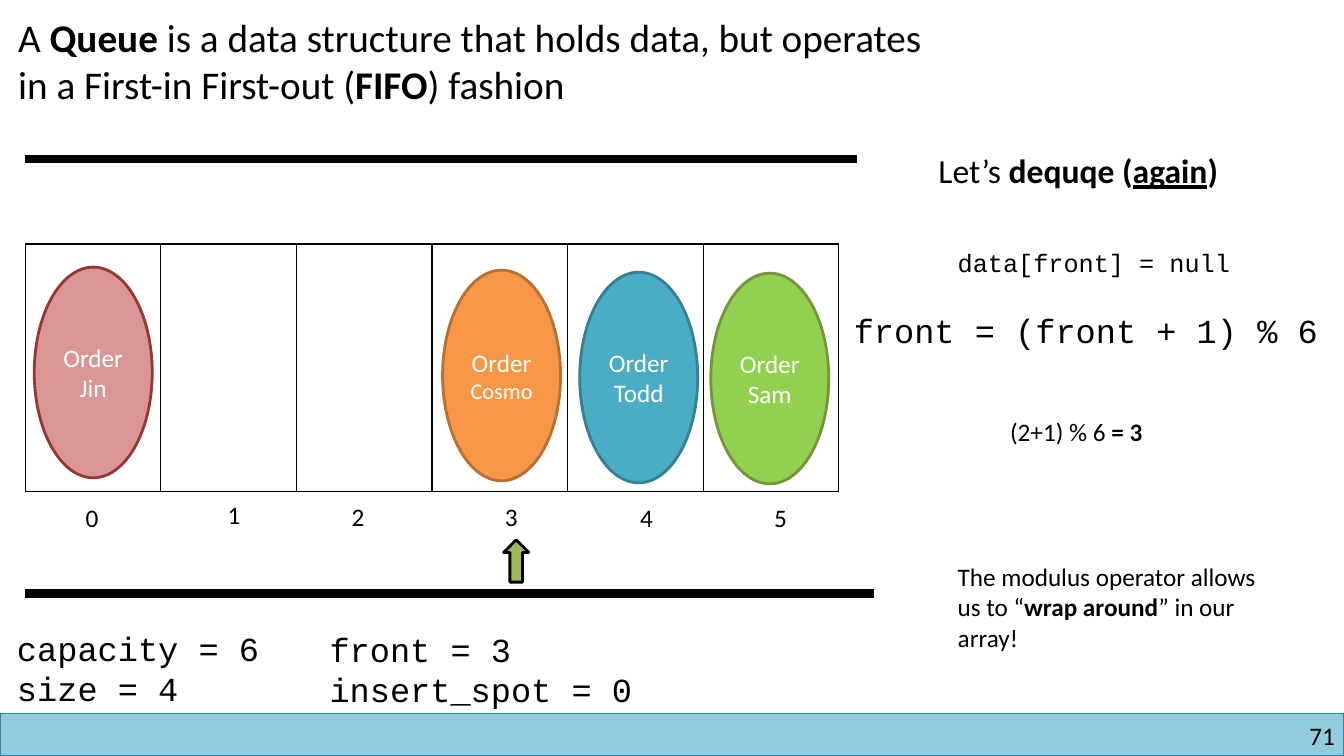
import pptx
import pptx.util
import pptx.dml.color
import pptx.enum.shapes
import pptx.enum.text
import pptx.oxml
import pptx.oxml.ns
from pptx.util import Inches

RGBColor = pptx.dml.color.RGBColor
MSO_SHAPE = pptx.enum.shapes.MSO_SHAPE
PP_ALIGN = pptx.enum.text.PP_ALIGN
MSO_ANCHOR = pptx.enum.text.MSO_ANCHOR
MSO_AUTO_SIZE = pptx.enum.text.MSO_AUTO_SIZE

BLACK = RGBColor(0x00, 0x00, 0x00)
WHITE = RGBColor(0xFF, 0xFF, 0xFF)
FOOTER_FILL = RGBColor(0x93, 0xCD, 0xDD)
FOOTER_LINE = RGBColor(0x31, 0x85, 0x9C)
POINTER_GREEN = RGBColor(0x9B, 0xBB, 0x59)
COSMO_FILL = RGBColor(0xF7, 0x96, 0x46)
COSMO_LINE = RGBColor(0xB7, 0x6F, 0x34)
TODD_FILL = RGBColor(0x4B, 0xAC, 0xC6)
TODD_LINE = RGBColor(0x37, 0x7F, 0x92)
SAM_FILL = RGBColor(0x92, 0xD0, 0x50)
SAM_LINE = RGBColor(0x77, 0x93, 0x3C)
JIN_FILL = RGBColor(0xD9, 0x96, 0x94)
JIN_LINE = RGBColor(0x95, 0x37, 0x35)

BODY_FONT = "Calibri"
CODE_FONT = "Courier New"


def add_run(paragraph, text, size, font=BODY_FONT, color=BLACK, style=""):
    run = paragraph.add_run()
    run.text = text
    run.font.name = font
    run.font.size = pptx.util.Pt(size)
    run.font.color.rgb = color
    run.font.bold = "b" in style
    run.font.underline = "u" in style


def add_text(slide, box, lines, size, font=BODY_FONT, wrap=False):
    frame = slide.shapes.add_textbox(*map(Inches, box)).text_frame
    frame.word_wrap = wrap
    frame.auto_size = MSO_AUTO_SIZE.SHAPE_TO_FIT_TEXT
    for number, runs in enumerate(lines):
        paragraph = frame.add_paragraph() if number else frame.paragraphs[0]
        for text, style in runs:
            add_run(paragraph, text, size, font, style=style)
    return frame


def add_filled(slide, kind, box, fill, line, width):
    shape = slide.shapes.add_shape(kind, *map(Inches, box))
    shape.shadow.inherit = False
    shape.fill.solid()
    shape.fill.fore_color.rgb = fill
    shape.line.color.rgb = line
    shape.line.width = pptx.util.Pt(width)
    return shape


def add_rule(slide, left, top, width):
    rule = slide.shapes.add_connector(
        pptx.enum.shapes.MSO_CONNECTOR.STRAIGHT,
        Inches(left), Inches(top), Inches(left + width), Inches(top))
    rule.line.color.rgb = BLACK
    rule.line.width = pptx.util.Pt(6)
    pptx.oxml.ns.qn("a:effectLst")
    rule._element.spPr.append(
        pptx.oxml.parse_xml(f"<a:effectLst {pptx.oxml.ns.nsdecls('a')}/>"))


def add_footer(slide, left, top, width, height):
    add_filled(slide, MSO_SHAPE.RECTANGLE, (left, top, width, height),
               FOOTER_FILL, FOOTER_LINE, 1)
    frame = add_text(slide, (left + width - 3.16, top + 0.07, 3.07, 0.3),
                     [[("71", "")]], 18, wrap=True)
    frame.margin_left = frame.margin_right = 0
    frame.margin_top = frame.margin_bottom = 0
    frame.paragraphs[0].alignment = PP_ALIGN.RIGHT


def add_heading(slide, left, top, width, height):
    heading = slide.shapes.title
    heading.left, heading.top = Inches(left), Inches(top)
    heading.width, heading.height = Inches(width), Inches(height)
    frame = heading.text_frame
    frame.word_wrap = True
    frame.auto_size = MSO_AUTO_SIZE.NONE
    frame.vertical_anchor = MSO_ANCHOR.TOP
    paragraph = frame.paragraphs[0]
    paragraph.alignment = PP_ALIGN.LEFT
    for text, style in [
        ("A ", ""), ("Queue", "b"),
        (" is a data structure that holds data, but operates in a First-in First-out (", ""),
        ("FIFO", "b"), (") fashion", ""),
    ]:
        add_run(paragraph, text, 28, style=style)


def add_slots(slide, left, top, width, height):
    slots = slide.shapes.add_table(
        1, 6, *map(Inches, (left, top, width, height))).table
    slots.first_row = slots.horz_banding = False
    for cell in slots.iter_cells():
        cell.fill.solid()
        cell.fill.fore_color.rgb = WHITE
        properties = cell._tc.get_or_add_tcPr()
        for position, side in enumerate(("lnL", "lnR", "lnT", "lnB")):
            properties.insert(position, pptx.oxml.parse_xml(
                f"<a:{side} {pptx.oxml.ns.nsdecls('a')} w='12700'><a:solidFill>"
                f"<a:srgbClr val='{BLACK}'/></a:solidFill></a:{side}>"))


def add_order(slide, left, top, name, name_size, fill, line):
    order = add_filled(slide, MSO_SHAPE.OVAL, (left, top, 1.17, 2.09), fill, line, 2)
    frame = order.text_frame
    frame.word_wrap = True
    frame.vertical_anchor = MSO_ANCHOR.MIDDLE
    for paragraph, text, size in [
        (frame.paragraphs[0], "Order", 18), (frame.add_paragraph(), name, name_size),
    ]:
        paragraph.alignment = PP_ALIGN.CENTER
        add_run(paragraph, text, size, color=WHITE)


def add_queue(slide, left, top, width, height):
    add_rule(slide, left, top - 0.84, 8.25)
    add_rule(slide, left, top + 3.47, 8.42)
    add_slots(slide, left, top, width, height)
    index_offsets = [(0.5, 2.51), (1.91, 2.48), (3.14, 2.5),
                     (4.66, 2.5), (6, 2.51), (7.33, 2.51)]
    for index, (across, down) in enumerate(index_offsets):
        add_text(slide, (left + across, top + down, 0.34, 0.4),
                 [[(str(index), "")]], 18)
    front_pointer = add_filled(slide, MSO_SHAPE.RIGHT_ARROW,
                               (left + 4.66, top + 3.02, 0.42, 0.25),
                               POINTER_GREEN, BLACK, 2)
    front_pointer.rotation = 270
    for across, down, name, size, fill, line in [
        (4.14, 0.26, "Cosmo", 16, COSMO_FILL, COSMO_LINE),
        (5.5, 0.28, "Todd", 18, TODD_FILL, TODD_LINE),
        (6.8, 0.29, "Sam", 18, SAM_FILL, SAM_LINE),
        (0.09, 0.23, "Jin", 18, JIN_FILL, JIN_LINE),
    ]:
        add_order(slide, left + across, top + down, name, size, fill, line)


def add_state(slide, left, top, width, height):
    add_text(slide, (left, top, 2.62, height),
             [[("capacity = 6", "")], [("size = 4", "")]], 24, CODE_FONT)
    add_text(slide, (left + width - 3.23, top + 0.01, 3.23, height),
             [[("front = 3", "")], [("insert_spot = 0", "")]], 24, CODE_FONT)


def add_dequeue_steps(slide, left, top, width, height):
    add_text(slide, (left + 0.84, top, 3.4, 0.5),
             [[("Let’s ", ""), ("dequqe (", "b"), ("again", "bu"), (")", "b")]], 24)
    add_text(slide, (left + 1.03, top + 0.96, 2.92, 0.4),
             [[("data[front] = null", "")]], 18, CODE_FONT)
    add_text(slide, (left, top + 1.59, width, 0.5),
             [[("front = (front + 1) % 6", "")]], 24, CODE_FONT)
    add_text(slide, (left + 1.55, top + 2.64, 1.73, 0.4),
             [[("(2+1) % 6 ", ""), ("= 3", "b")]], 18)
    add_text(slide, (left + 1.03, top + height - 1.01, 3.35, 1.01),
             [[("The modulus operator allows us to “", ""), ("wrap around", "b"),
               ("” in our array!", "")]], 18, wrap=True)


def main():
    deck = pptx.Presentation()
    deck.slide_width, deck.slide_height = Inches(13.33), Inches(7.5)
    slide = deck.slides.add_slide(deck.slide_layouts.get_by_name("Title Only"))
    add_footer(slide, 0, 7.08, 13.33, 0.42)
    add_heading(slide, 0.08, 0.08, 9.32, 1.04)
    add_queue(slide, 0.25, 2.42, 8.07, 2.46)
    add_state(slide, 0.07, 6.18, 6.33, 0.91)
    add_dequeue_steps(slide, 8.37, 1.44, 4.84, 5.09)
    deck.save("out.pptx")


if __name__ == "__main__":
    main()
